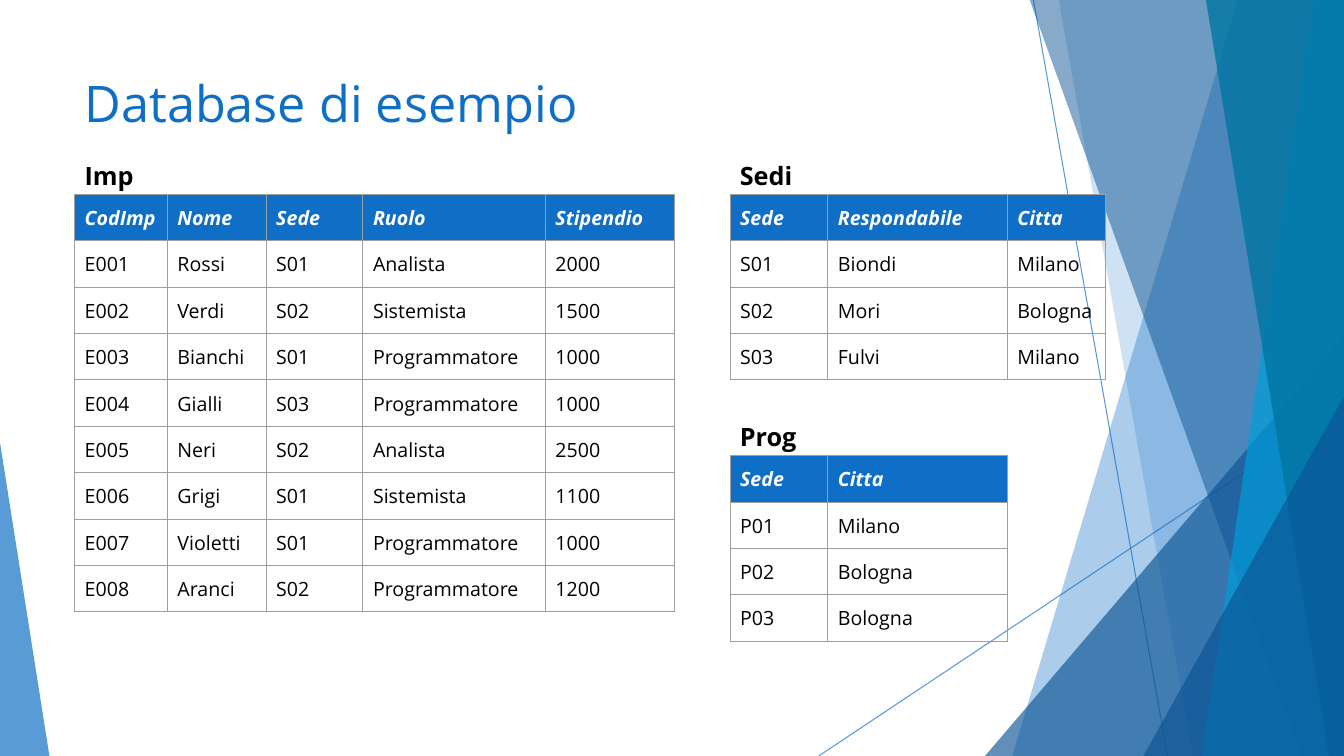
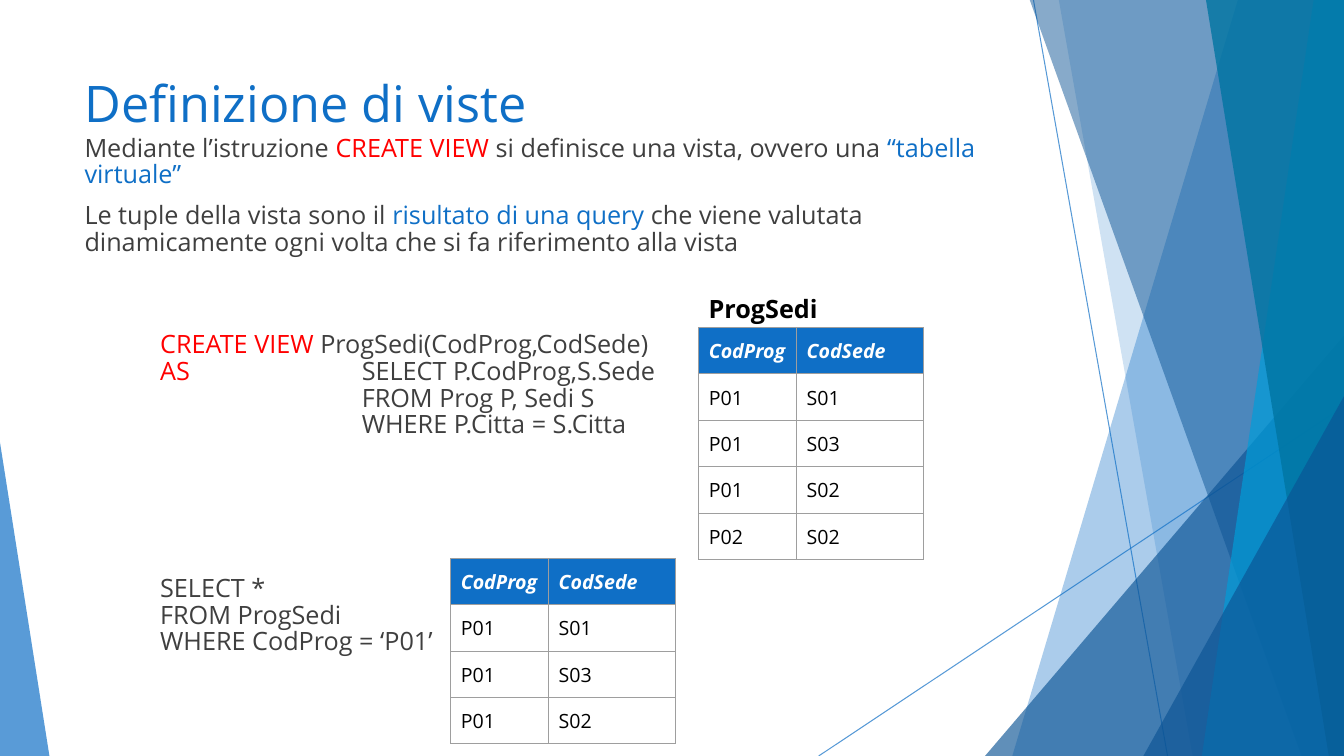
from lxml import etree
from pptx import Presentation
from pptx.dml.color import RGBColor
from pptx.enum.shapes import MSO_CONNECTOR, MSO_SHAPE
from pptx.enum.text import MSO_ANCHOR
from pptx.oxml.ns import qn
from pptx.util import Inches, Pt

STRAIGHT = MSO_CONNECTOR.STRAIGHT
TRIANGLE = MSO_SHAPE.ISOSCELES_TRIANGLE
TOP = MSO_ANCHOR.TOP

FONT = "Open Sans"
BLUE, NAVY, SKY, TEAL = "0F6FC6", "0B5394", "009DD9", "0075A2"
BLACK, WHITE, DARK, RED, GREY = "000000", "FFFFFF", "3F3F3F", "FF0000", "9E9E9E"
WIDTH, HEIGHT = 13.33, 7.5
LEFT, CONTENT_WIDTH = 0.74, 9.4
ROW_HEIGHT = 0.46
LABEL_WIDTH, LABEL_HEIGHT = 4.03, 0.44

BANDS = [
    (12.28, 10.04, BLUE, 35),
    (10.5, 11.83, BLUE, 20),
    None,
    (10.21, 12.91, NAVY, 49),
    (13.03, 11.92, SKY, 69),
    (11.96, 13.18, TEAL, 80),
]

EMPLOYEES = [
    ("CodImp", "Nome", "Sede", "Ruolo", "Stipendio"),
    ("E001", "Rossi", "S01", "Analista", "2000"),
    ("E002", "Verdi", "S02", "Sistemista", "1500"),
    ("E003", "Bianchi", "S01", "Programmatore", "1000"),
    ("E004", "Gialli", "S03", "Programmatore", "1000"),
    ("E005", "Neri", "S02", "Analista", "2500"),
    ("E006", "Grigi", "S01", "Sistemista", "1100"),
    ("E007", "Violetti", "S01", "Programmatore", "1000"),
    ("E008", "Aranci", "S02", "Programmatore", "1200"),
]
OFFICES = [
    ("Sede", "Respondabile", "Citta"),
    ("S01", "Biondi", "Milano"),
    ("S02", "Mori", "Bologna"),
    ("S03", "Fulvi", "Milano"),
]
PROJECTS = [
    ("Sede", "Citta"),
    ("P01", "Milano"),
    ("P02", "Bologna"),
    ("P03", "Bologna"),
]
VIEW_ROWS = [
    ("CodProg", "CodSede"),
    ("P01", "S01"),
    ("P01", "S03"),
    ("P01", "S02"),
    ("P02", "S02"),
]
VIEW_COLUMNS = (0.97, 1.26)

INTRO = [
    [("Mediante l’istruzione ", DARK), ("CREATE VIEW", RED),
     (" si definisce una vista, ovvero una ", DARK), ("“tabella virtuale”", BLUE)],
    [("Le tuple della vista sono il ", DARK), ("risultato di una query", BLUE),
     (" che viene valutata dinamicamente ogni volta che si fa riferimento alla vista", DARK)],
]
CREATE_VIEW = [[
    ("CREATE VIEW", RED), (" ProgSedi(CodProg,CodSede)\n", DARK), ("AS", RED),
    ("\tSELECT P.CodProg,S.Sede\n\tFROM Prog P, Sedi S\n\tWHERE P.Citta = S.Citta", DARK),
]]
SELECT_VIEW = [[("SELECT *\nFROM ProgSedi\nWHERE CodProg = ‘P01’", DARK)]]


def color(value):
    """Turn a hex string into a colour."""
    return RGBColor.from_string(value)


def set_alpha(shape, percent):
    """Make the colour of a fill or line partly transparent."""
    for tint in shape._element.spPr.iter(qn("a:srgbClr")):
        etree.SubElement(tint, qn("a:alpha"), val=str(percent * 1000))


def add_span(para, text, size, tint, bold=False, italic=False):
    """Add text to a paragraph, one run for each line."""
    for index, line in enumerate(text.split("\n")):
        if index:
            para.add_line_break()
        if line:
            span = para.add_run()
            span.text = line
            font = span.font
            font.name, font.size = FONT, Pt(size)
            font.bold, font.italic = bold, italic
            font.color.rgb = color(tint)


def add_text(page, box, paragraphs, size=18, bold=False, inset=0.05, spacing=1.0, tab=None):
    """Add a text box of coloured runs, with an optional tab stop."""
    frame = page.shapes.add_textbox(*map(Inches, box)).text_frame
    frame.word_wrap = True
    frame.vertical_anchor = TOP
    frame.margin_left = frame.margin_right = Inches(0.1)
    frame.margin_top = frame.margin_bottom = Inches(inset)
    for index, spans in enumerate(paragraphs):
        para = frame.add_paragraph() if index else frame.paragraphs[0]
        para.line_spacing = spacing
        if index:
            para.space_before = Pt(10)
        if tab:
            stops = etree.SubElement(para._p.get_or_add_pPr(), qn("a:tabLst"))
            etree.SubElement(stops, qn("a:tab"), pos=str(Inches(tab)), algn="l")
        for text, tint in spans:
            add_span(para, text, size, tint, bold)


def finish_shape(shape, tint, alpha):
    """Give a decoration its transparent fill, without line or shadow."""
    shape.shadow.inherit = False
    shape.fill.solid()
    shape.fill.fore_color.rgb = color(tint)
    shape.line.fill.background()
    set_alpha(shape, alpha)


def add_triangle(page, box, peak, tint, alpha):
    """Add a triangle whose peak lies at a share of its width."""
    shape = page.shapes.add_shape(TRIANGLE, *map(Inches, box))
    shape.adjustments[0] = peak
    finish_shape(shape, tint, alpha)


def add_band(page, top_x, bottom_x, tint, alpha):
    """Add a band from a slanted left edge to the right slide edge."""
    builder = page.shapes.build_freeform(Inches(top_x), Inches(-0.01))
    corners = [(WIDTH, -0.01), (WIDTH, HEIGHT), (bottom_x, HEIGHT)]
    builder.add_line_segments([(Inches(x), Inches(y)) for x, y in corners])
    finish_shape(builder.convert_to_shape(), tint, alpha)


def add_backdrop(page):
    """Draw the lines, bands and triangles that all slides share."""
    for ends in ((10.25, 0, 11.58, HEIGHT), (WIDTH, 4.03, 8.12, HEIGHT)):
        line = page.shapes.add_connector(STRAIGHT, *map(Inches, ends))
        line.line.color.rgb = color(BLUE)
        line.line.width = Pt(0.75)
        set_alpha(line, 69)
        etree.SubElement(line._element.spPr, qn("a:effectLst"))
    for band in BANDS:
        if band:
            add_band(page, *band)
        else:
            add_triangle(page, (9.77, 3.33, 3.56, 4.17), 1, NAVY, 65)
    add_triangle(page, (11.34, 3.93, 1.99, 3.57), 1, NAVY, 65)
    add_triangle(page, (0, 4.39, 0.49, 3.11), 0, BLUE, 69)


def add_borders(cell):
    """Draw thin grey lines on the four sides of a cell."""
    properties = cell._tc.get_or_add_tcPr()
    for side in ("lnL", "lnR", "lnT", "lnB"):
        edge = etree.SubElement(properties, qn(f"a:{side}"), w=str(Pt(0.75)))
        fill = etree.SubElement(edge, qn("a:solidFill"))
        etree.SubElement(fill, qn("a:srgbClr"), val=GREY)


def fill_cell(cell, text, header):
    """Write one cell as header or body."""
    cell.margin_left = cell.margin_right = Inches(0.1)
    cell.margin_top = cell.margin_bottom = Inches(0.1)
    add_borders(cell)
    if header:
        cell.fill.solid()
        cell.fill.fore_color.rgb = color(BLUE)
    else:
        cell.fill.background()
    para = cell.text_frame.paragraphs[0]
    add_span(para, text, 14, WHITE if header else BLACK, header, header)


def add_relation(page, left, top, columns, rows, name=None):
    """Add a database table, with its name above it if given."""
    box = (left, top, sum(columns), ROW_HEIGHT * len(rows))
    table = page.shapes.add_table(len(rows), len(columns), *map(Inches, box)).table
    table.horz_banding = False
    for column, width in zip(table.columns, columns):
        column.width = Inches(width)
    for row_index, row in enumerate(rows):
        table.rows[row_index].height = Inches(ROW_HEIGHT)
        for column_index, text in enumerate(row):
            fill_cell(table.cell(row_index, column_index), text, row_index == 0)
    if name:
        label = (left, top - LABEL_HEIGHT, LABEL_WIDTH, LABEL_HEIGHT)
        add_text(page, label, [[(name, BLACK)]], bold=True, inset=0.1)


def add_page(deck, title):
    """Add a slide with the shared backdrop and title."""
    page = deck.slides.add_slide(deck.slide_layouts[6])
    add_backdrop(page)
    add_text(page, (LEFT, 0.67, CONTENT_WIDTH, 1.44), [[(title, BLUE)]], size=36)
    return page


def add_database_page(deck):
    """Build the slide with the example database."""
    page = add_page(deck, "Database di esempio")
    add_relation(page, LEFT, 1.93, (0.92, 0.98, 0.96, 1.81, 1.28), EMPLOYEES, "Imp")
    add_relation(page, 7.24, 1.93, (0.97, 1.78, 0.97), OFFICES, "Sedi")
    add_relation(page, 7.24, 4.52, (0.97, 1.78), PROJECTS, "Prog")


def add_view_page(deck):
    """Build the slide that defines and queries a view."""
    page = add_page(deck, "Definizione di viste")
    add_text(page, (LEFT, 1.3, CONTENT_WIDTH, 1.75), INTRO, spacing=0.88)
    add_relation(page, 6.93, 3.25, VIEW_COLUMNS, VIEW_ROWS, "ProgSedi")
    add_text(page, (1.49, 3.25, 5.89, 2.22), CREATE_VIEW, spacing=0.88, tab=2)
    add_text(page, (1.49, 5.67, 3.42, 1.44), SELECT_VIEW, spacing=0.88)
    add_relation(page, 4.47, 5.54, VIEW_COLUMNS, VIEW_ROWS[:-1])


def main():
    """Build and save the presentation."""
    deck = Presentation()
    deck.slide_width, deck.slide_height = Inches(WIDTH), Inches(HEIGHT)
    add_database_page(deck)
    add_view_page(deck)
    deck.save("out.pptx")


main()
